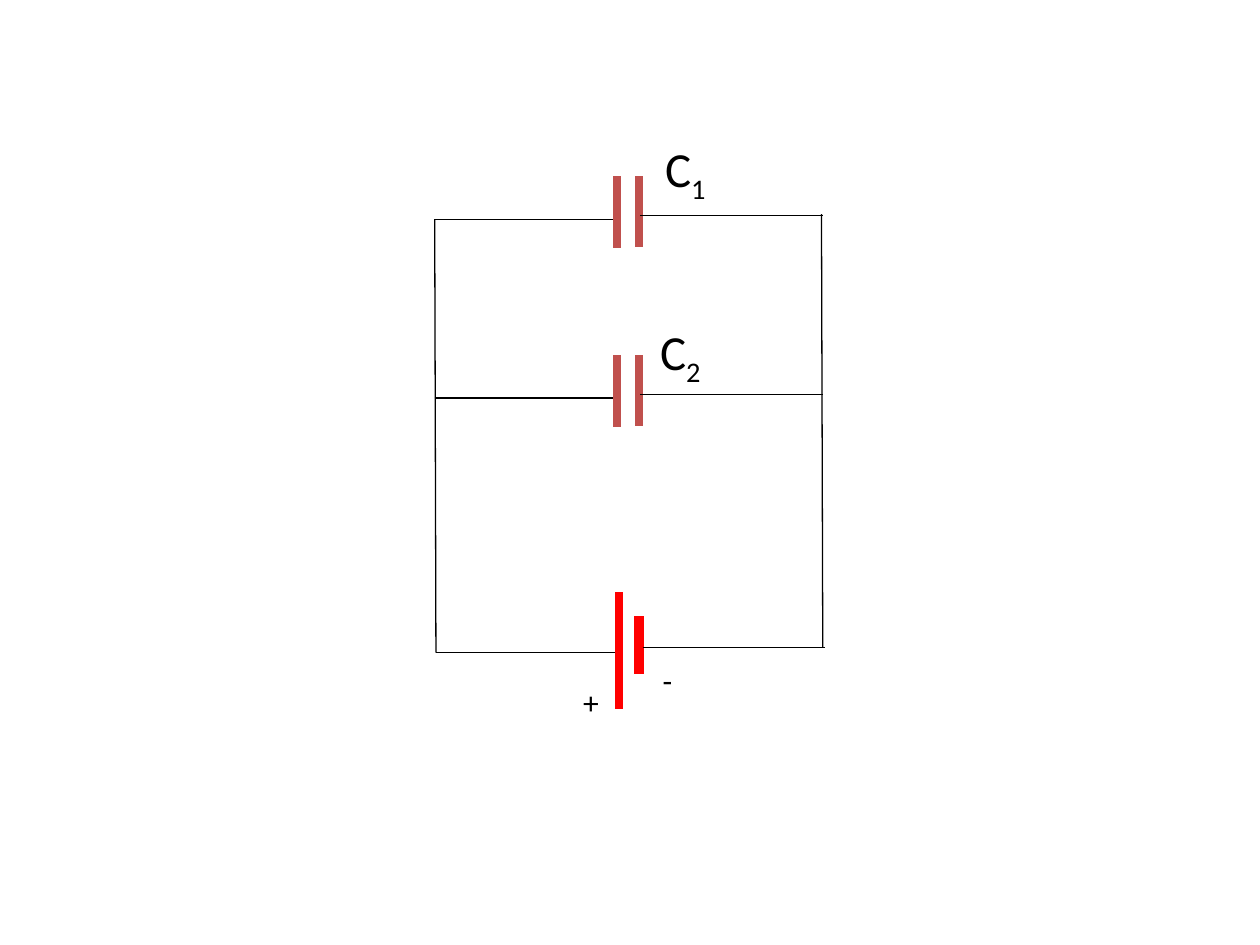
from lxml import etree
from pptx import Presentation
from pptx.dml.color import RGBColor
from pptx.enum.shapes import MSO_CONNECTOR
from pptx.enum.text import MSO_AUTO_SIZE
from pptx.oxml.ns import qn
from pptx.util import Inches, Pt

COLORS = {"wire": "000000", "capacitor": "C0504D", "battery": "FF0000", "text": "000000"}
FONT = "Calibri"
WIRE_WIDTH = 0.75
WIRE_LENGTH = 1.45

# Branches: left end of the wire, height of the left and right wires
CAPACITORS = [(3.45, 1.74, 1.71), (3.45, 3.16, 3.13)]
BATTERY = (3.46, 5.18, 5.14)

# Plates: offset from the left end, top and bottom from the left wire, width
CAPACITOR_PLATES = [(1.45, -0.34, 0.23, 4.5), (1.62, -0.34, 0.22, 4.5)]
BATTERY_PLATES = [(1.45, -0.48, 0.45, 4.5), (1.61, -0.29, 0.17, 6)]

# Side wires: start and end
SIDES = [(3.45, 1.74, 3.46, 5.18), (6.52, 1.7, 6.53, 5.14)]

# Labels: text, subscript, size, box
LABELS = [
    ("+", "", 18, (4.53, 5.37, 0.33, 0.37)),
    ("-", "", 18, (5.16, 5.2, 0.28, 0.37)),
    ("C", "1", 28, (5.18, 1.05, 0.63, 0.57)),
    ("C", "2", 28, (5.14, 2.5, 0.54, 0.57)),
]

prs = Presentation()
prs.slide_width, prs.slide_height = Inches(10), Inches(7.5)
slide = prs.slides.add_slide(prs.slide_layouts[6])


def add_line(x1, y1, x2, y2, color="wire", width=WIRE_WIDTH):
    line = slide.shapes.add_connector(
        MSO_CONNECTOR.STRAIGHT, *(Inches(v) for v in (x1, y1, x2, y2)))
    line.line.color.rgb = RGBColor.from_string(COLORS[color])
    line.line.width = Pt(width)
    etree.SubElement(line._element.spPr, qn("a:effectLst"))


def add_branch(branch, plates, color, right_offset):
    left, left_y, right_y = branch
    add_line(left, left_y, left + WIRE_LENGTH, left_y)
    for offset, top, bottom, width in plates:
        x = left + offset
        add_line(x, left_y + top, x, left_y + bottom, color, width)
    right = left + right_offset
    add_line(right, right_y, right + WIRE_LENGTH, right_y)


def add_label(text, subscript, size, box):
    frame = slide.shapes.add_textbox(*(Inches(v) for v in box)).text_frame
    frame.word_wrap = False
    frame.auto_size = MSO_AUTO_SIZE.SHAPE_TO_FIT_TEXT
    for part, baseline in ((text, 0), (subscript, -25000)):
        if not part:
            continue
        run = frame.paragraphs[0].add_run()
        run.text = part
        run.font.name, run.font.size = FONT, Pt(size)
        run.font.color.rgb = RGBColor.from_string(COLORS["text"])
        if baseline:
            run._r.get_or_add_rPr().set("baseline", str(baseline))


# Circuit
for capacitor in CAPACITORS:
    add_branch(capacitor, CAPACITOR_PLATES, "capacitor", 1.63)
add_branch(BATTERY, BATTERY_PLATES, "battery", 1.64)
for side in SIDES:
    add_line(*side)

# Labels
for label in LABELS:
    add_label(*label)

prs.save("out.pptx")
